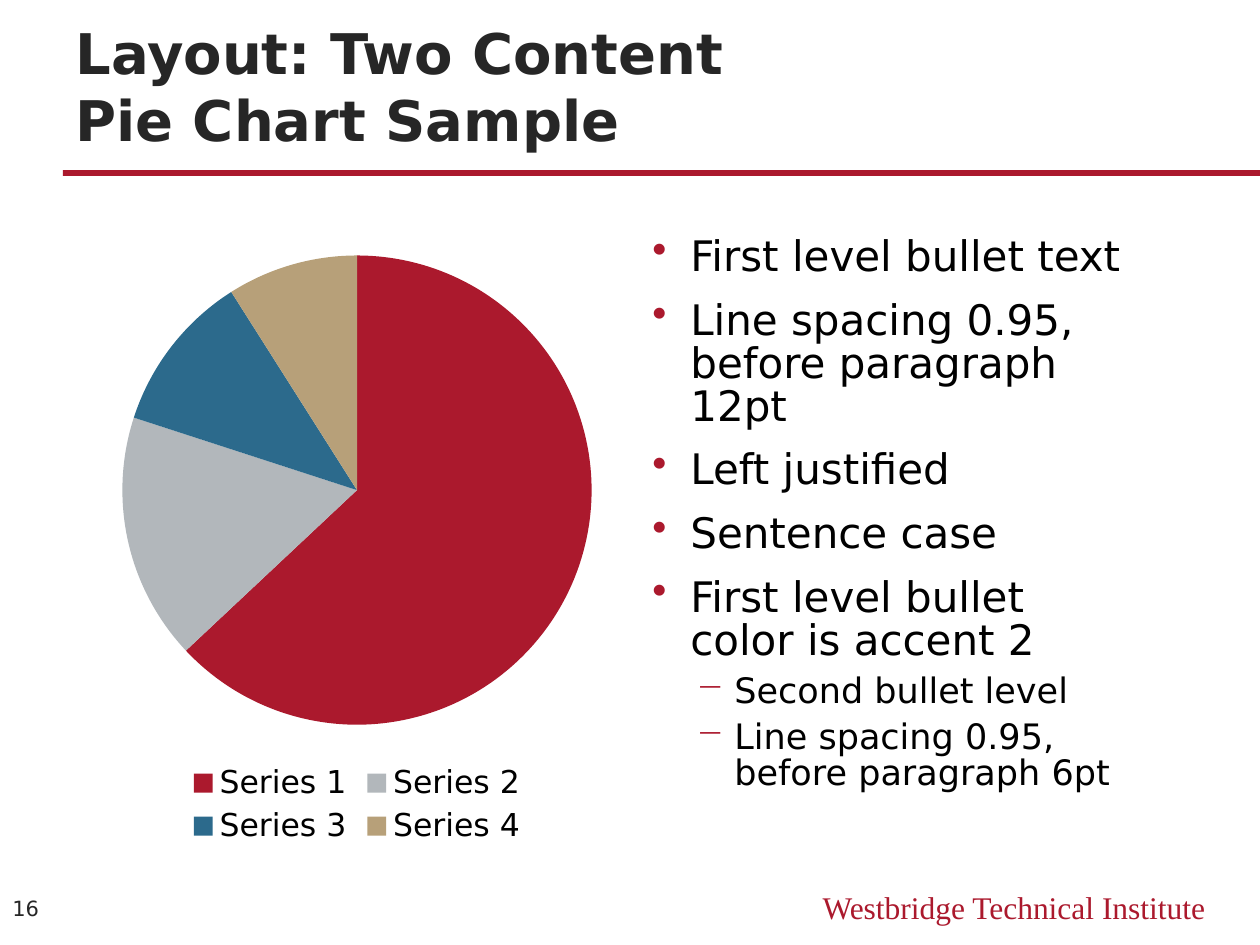
import pptx
import pptx.chart.data
import pptx.dml.color
import pptx.enum.chart
import pptx.enum.shapes
import pptx.enum.text
import pptx.oxml
import pptx.util
from lxml import etree

RGBColor = pptx.dml.color.RGBColor
ALIGN = pptx.enum.text.PP_ALIGN
ANCHOR = pptx.enum.text.MSO_ANCHOR
CRIMSON = RGBColor(0xAB, 0x19, 0x2D)
SILVER = RGBColor(0xB2, 0xB7, 0xBB)
BLUE = RGBColor(0x2C, 0x6A, 0x8C)
TAN = RGBColor(0xB7, 0xA0, 0x79)
DARK = RGBColor(0x26, 0x26, 0x26)
BLACK = RGBColor(0, 0, 0)
SANS = "DejaVu Sans"
SCALE = 914400 / 126


def px(*lengths):
    return [pptx.util.Emu(round(n * SCALE)) for n in lengths]


def write(p, text, size=24, color=BLACK, font=SANS, bold=False,
          align=ALIGN.LEFT, bullet=None, indent=0, hang=38, before=0):
    p.text = text
    p.alignment = align
    for r in p.runs:
        r.font.size = pptx.util.Pt(size)
        r.font.name = font
        r.font.bold = bold
        r.font.color.rgb = color
    if bullet:
        p.line_spacing = 0.85
        p.space_before = pptx.util.Pt(before)
        pPr = p._p.get_or_add_pPr()
        margin, first = px(indent, -hang)
        pPr.set("marL", str(margin))
        pPr.set("indent", str(first))
        clr = etree.SubElement(pPr, pptx.oxml.ns.qn("a:buClr"))
        etree.SubElement(clr, pptx.oxml.ns.qn("a:srgbClr"), val=str(CRIMSON))
        etree.SubElement(pPr, pptx.oxml.ns.qn("a:buChar"), char=bullet)


prs = pptx.Presentation()
prs.slide_width, prs.slide_height = px(1260, 945)
s = prs.slides.add_slide(prs.slide_layouts[6])

sp = s.shapes.add_shape(pptx.enum.shapes.MSO_SHAPE.RECTANGLE, *px(63, 170, 1197, 6))
sp.shadow.inherit = False
sp.fill.solid()
sp.fill.fore_color.rgb = CRIMSON
sp.line.fill.background()

labels = [
    ((756, 882, 462, 50), ANCHOR.TOP, "Westbridge Technical Institute",
     dict(size=18, color=CRIMSON, font="Times New Roman", align=ALIGN.RIGHT)),
    ((63, 48, 1134, 111), ANCHOR.BOTTOM, "Layout: Two Content\vPie Chart Sample",
     dict(size=32, color=DARK, bold=True)),
    ((0, 881, 63, 54), ANCHOR.MIDDLE, "16", dict(size=12, color=DARK)),
]
for box, anchor, text, style in labels:
    tf = s.shapes.add_textbox(*px(*box)).text_frame
    tf.word_wrap = True
    tf.vertical_anchor = anchor
    write(tf.paragraphs[0], text, **style)

data = pptx.chart.data.CategoryChartData()
data.categories = [f"Series {n}" for n in range(1, 5)]
data.add_series("Series 1", (63, 17, 11, 9))
chart = s.shapes.add_chart(pptx.enum.chart.XL_CHART_TYPE.PIE,
                           *px(105, 231, 504, 620), data).chart
chart.has_title = False
chart.font.size = pptx.util.Pt(18)
chart.font.name = SANS
chart.font.color.rgb = BLACK
chart.has_legend = True
chart.legend.position = pptx.enum.chart.XL_LEGEND_POSITION.BOTTOM
chart.legend.include_in_layout = False
for i, color in enumerate((CRIMSON, SILVER, BLUE, TAN)):
    point = chart.plots[0].series[0].points[i]
    point.format.fill.solid()
    point.format.fill.fore_color.rgb = color
    point.format.line.fill.background()

first_level = dict(bullet="•", indent=38, before=12)
second_level = dict(bullet="─", indent=82, before=6, size=20)
bullets = [
    ("First level bullet text", first_level),
    ("Line spacing 0.95, before paragraph 12pt", first_level),
    ("Left justified", first_level),
    ("Sentence case", first_level),
    ("First level bullet color is accent 2", first_level),
    ("Second bullet level", second_level),
    ("Line spacing 0.95, before paragraph 6pt", second_level),
]
tf = s.shapes.add_textbox(*px(640, 231, 504, 620)).text_frame
tf.word_wrap = True
for i, (text, style) in enumerate(bullets):
    p = tf.add_paragraph() if i else tf.paragraphs[0]
    p.level = int(style is second_level)
    write(p, text, **style)

prs.save("out.pptx")
